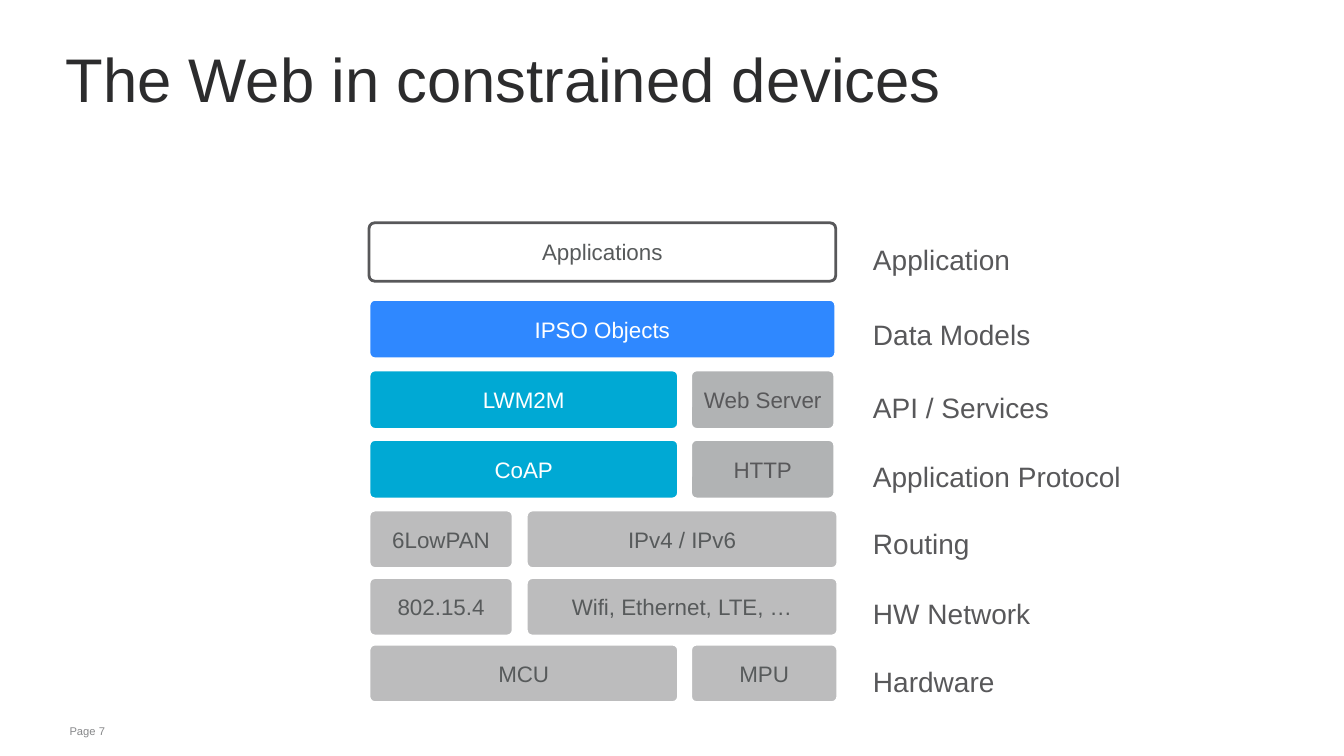
import pptx
import pptx.dml.color
import pptx.enum.shapes
import pptx.enum.text
import pptx.util

PX = 9144
THEME = {
    "font": "Arial",
    "title": "2C2C2D", "label": "58585A", "muted": "575A5B", "footer": "87888A",
    "white": "FFFFFF", "blue": "2F88FF", "cyan": "00A9D4",
    "web": "B1B3B4", "grey": "BCBCBD",
    "title_size": 44, "label_size": 20, "block_size": 16, "footer_size": 8,
}
ANCHOR = pptx.enum.text.MSO_ANCHOR
ALIGN = pptx.enum.text.PP_ALIGN


def rgb(name):
    return pptx.dml.color.RGBColor.from_string(THEME[name])


def write(shape, text, size, color, align=ALIGN.LEFT, anchor=ANCHOR.TOP, wrap=True):
    frame = shape.text_frame
    frame.text = text
    frame.word_wrap = wrap
    frame.vertical_anchor = anchor
    paragraph = frame.paragraphs[0]
    paragraph.alignment = align
    paragraph.font.name = THEME["font"]
    paragraph.font.size = pptx.util.Pt(THEME[size])
    paragraph.font.color.rgb = rgb(color)
    return frame


deck = pptx.Presentation()
deck.slide_width, deck.slide_height = 1333 * PX, 750 * PX
slide = deck.slides.add_slide(deck.slide_layouts[5])

title = slide.shapes.title
title.left, title.top, title.width, title.height = 57 * PX, 26 * PX, 1119 * PX, 119 * PX
heading = write(title, "The Web in constrained devices", "title_size", "title", anchor=ANCHOR.MIDDLE)
heading.auto_size = pptx.enum.text.MSO_AUTO_SIZE.NONE
heading.margin_left = heading.margin_right = 8 * PX
heading.margin_top = heading.margin_bottom = 0
heading.paragraphs[0].line_spacing = 0.75

page = slide.shapes.add_textbox(61 * PX, 714 * PX, 1076 * PX, 24 * PX)
page_frame = write(page, "Page 7", "footer_size", "footer")
page_frame.margin_left = page_frame.margin_right = 8 * PX

STACK_LEFT, LABEL_LEFT, LABEL_HEIGHT = 366, 856, 44
FULL, WIDE, NARROW = 463, 307, 143
RIGHT_NARROW, RIGHT_WIDE = 685, 522
layers = [
    ("Application", 236, 159, 221, 58,
     [("Applications", STACK_LEFT, FULL, "white", "muted", "label")]),
    ("Data Models", 310, 178, 297, 59,
     [("IPSO Objects", STACK_LEFT, FULL, "blue", "white", "white")]),
    ("API / Services", 382, 198, 367, 59,
     [("LWM2M", STACK_LEFT, WIDE, "cyan", "white", "white"),
      ("Web Server", RIGHT_NARROW, NARROW, "web", "label", "white")]),
    ("Application Protocol", 451, 270, 436, 59,
     [("CoAP", STACK_LEFT, WIDE, "cyan", "white", "white"),
      ("HTTP", RIGHT_NARROW, NARROW, "web", "label", "white")]),
    ("Routing", 517, 117, 506, 58,
     [("6LowPAN", STACK_LEFT, NARROW, "grey", "muted", "white"),
      ("IPv4 / IPv6", RIGHT_WIDE, 309, "grey", "muted", "white")]),
    ("HW Network", 587, 178, 573, 58,
     [("802.15.4", STACK_LEFT, NARROW, "grey", "muted", "white"),
      ("Wifi, Ethernet, LTE, …", RIGHT_WIDE, 309, "grey", "muted", "white")]),
    ("Hardware", 654, 142, 639, 58,
     [("MCU", STACK_LEFT, WIDE, "grey", "muted", "white"),
      ("MPU", RIGHT_NARROW, 146, "grey", "muted", "white")]),
]

for layer, label_top, label_width, top, height, blocks in layers:
    for name, left, width, fill, ink, border in blocks:
        block = slide.shapes.add_shape(
            pptx.enum.shapes.MSO_SHAPE.ROUNDED_RECTANGLE,
            left * PX, top * PX, width * PX, height * PX)
        block.adjustments[0] = 0.1
        block.shadow.inherit = False
        block.fill.solid()
        block.fill.fore_color.rgb = rgb(fill)
        block.line.color.rgb = rgb(border)
        block.line.width = pptx.util.Pt(2)
        write(block, name, "block_size", ink, ALIGN.CENTER, ANCHOR.MIDDLE)
    label = slide.shapes.add_textbox(
        LABEL_LEFT * PX, label_top * PX, label_width * PX, LABEL_HEIGHT * PX)
    label_frame = write(label, layer, "label_size", "label", wrap=False)
    label_frame.auto_size = pptx.enum.text.MSO_AUTO_SIZE.SHAPE_TO_FIT_TEXT

deck.save("out.pptx")
